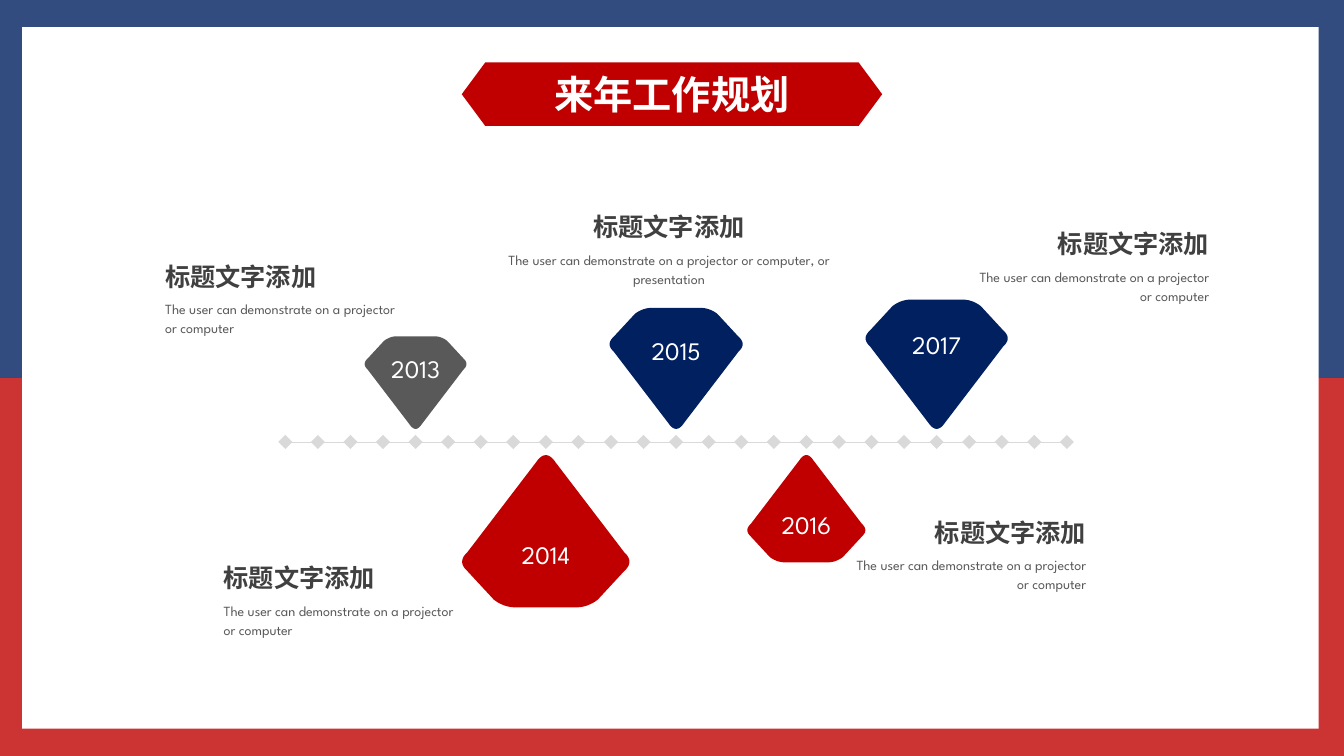
from lxml import etree
from pptx import Presentation, util as u
from pptx.dml.color import RGBColor
from pptx.enum import shapes, text
from pptx.oxml.ns import qn

COLUMNS, ROWS = 133.3, 75
CELL = u.Inches(0.1)

WHITE = RGBColor(0xFF, 0xFF, 0xFF)
NAVY = RGBColor(0x00, 0x20, 0x60)
RED = RGBColor(0xC0, 0x00, 0x00)
GRAY = RGBColor(0x59, 0x59, 0x59)
DARK = RGBColor(0x40, 0x40, 0x40)
PALE = RGBColor(0xD9, 0xD9, 0xD9)

LATIN_FONT = "League Spartan"
CHINESE_FONT = "Noto Sans CJK SC"
LEFT, CENTER, RIGHT = text.PP_ALIGN.LEFT, text.PP_ALIGN.CENTER, text.PP_ALIGN.RIGHT
ANCHOR_SHARE = {LEFT: 0, CENTER: 0.5, RIGHT: 1}

TICK_COUNT, TICK_SIZE = 25, 1.4
FIRST_TICK, TICK_STEP = 28.3, 3.23
AXIS_ROW = 43.85
TIP_GAP = 1.3
GEM_RATIO = 0.91
GEM_TIP_SHARE = 0.3
CURVE_STEPS = 10
GEM_CORNERS = [
    ((0.32, 0), (0.25, 0), (0.19, 0.05)),
    ((0.03, 0.24), (-0.03, 0.3), (0.03, 0.36)),
    ((0.44, 0.95), (0.5, 1.05), (0.56, 0.95)),
    ((0.97, 0.36), (1.03, 0.3), (0.97, 0.24)),
    ((0.81, 0.05), (0.75, 0), (0.68, 0)),
]

GEMS = [
    ("2013", 10.1, GRAY, False),
    ("2014", 16.6, RED, True),
    ("2015", 13.2, NAVY, False),
    ("2016", 11.7, RED, True),
    ("2017", 14.1, NAVY, False),
]
HEADING = "标题文字添加"
BODY = "The user can demonstrate on a projector or computer"
CAPTIONS = [
    (15.4, 25.4, LEFT, 25.7, BODY),
    (21.2, 55.3, LEFT, 25.7, BODY),
    (108.7, 50.8, RIGHT, 25.7, BODY),
    (120.9, 22.2, RIGHT, 25.7, BODY),
    (66.35, 20.5, CENTER, 34.1, BODY + ", or presentation"),
]


def cells(*values):
    return [round(value * CELL) for value in values]


def paint(shape, color):
    shape.shadow.inherit = False
    shape.fill.solid()
    shape.fill.fore_color.rgb = color
    shape.line.fill.background()


def write(shape, content, size, color, alignment=CENTER, bold=False, font=LATIN_FONT):
    paragraph = shape.text_frame.paragraphs[0]
    paragraph.text = content
    paragraph.alignment = alignment
    paragraph.font.size = u.Pt(size)
    paragraph.font.bold = bold
    paragraph.font.color.rgb = color
    paragraph.font.name = font
    properties = paragraph._p.pPr.find(qn("a:defRPr"))
    etree.SubElement(properties, qn("a:ea"), typeface=CHINESE_FONT)
    return paragraph


def add_block(slide, kind, left, top, width, height, color):
    shape = slide.shapes.add_shape(kind, *cells(left, top, width, height))
    paint(shape, color)
    return shape


def add_frame(slide):
    rectangle = shapes.MSO_SHAPE.RECTANGLE
    for half, color in enumerate((NAVY, RED)):
        band = add_block(slide, rectangle, 0, half * ROWS / 2, COLUMNS, ROWS / 2, color)
        fill_color = band.fill._xPr.find(".//" + qn("a:srgbClr"))
        etree.SubElement(fill_color, qn("a:alpha"), val="80000")
    add_block(slide, rectangle, 2.2, 2.7, 128.6, 69.6, WHITE)


def add_banner(slide, title):
    banner = add_block(slide, shapes.MSO_SHAPE.HEXAGON, 45.8, 6.2, 41.7, 6.3, RED)
    banner.adjustments[0] = 0.37
    banner.text_frame.word_wrap = False
    banner.text_frame.vertical_anchor = text.MSO_ANCHOR.MIDDLE
    write(banner, title, 28, WHITE, bold=True, font=CHINESE_FONT)


def add_axis(slide):
    line = slide.shapes.add_connector(
        shapes.MSO_CONNECTOR.STRAIGHT, *cells(28.7, AXIS_ROW, 106.4, AXIS_ROW))
    line.line.color.rgb = PALE
    line.line.width = u.Pt(0.6)
    etree.SubElement(line._element.spPr, qn("a:effectLst"))
    for tick in range(TICK_COUNT):
        left = FIRST_TICK + tick * TICK_STEP - TICK_SIZE / 2
        add_block(slide, shapes.MSO_SHAPE.DIAMOND, left, AXIS_ROW - TICK_SIZE / 2,
                  TICK_SIZE, TICK_SIZE, PALE)


def gem_outline():
    for start, control, end in GEM_CORNERS:
        for step in range(CURVE_STEPS + 1):
            t = step / CURVE_STEPS
            yield [(1 - t) ** 2 * a + 2 * t * (1 - t) * b + t ** 2 * c
                   for a, b, c in zip(start, control, end)]


def add_gem(slide, center, year, width, color, below):
    height = width * GEM_RATIO
    left = center - width / 2
    tip = AXIS_ROW + TIP_GAP * (1 if below else -1)
    base = tip + height * (1 if below else -1)
    points = [cells(left + x * width, base + y * (tip - base)) for x, y in gem_outline()]
    builder = slide.shapes.build_freeform(*points[0])
    builder.add_line_segments(points[1:], close=True)
    gem = builder.convert_to_shape()
    paint(gem, color)
    frame = gem.text_frame
    frame.vertical_anchor = text.MSO_ANCHOR.MIDDLE
    frame.margin_left = frame.margin_right = 0
    tip_margin = round(height * GEM_TIP_SHARE * CELL)
    frame.margin_top, frame.margin_bottom = (tip_margin, 0) if below else (0, tip_margin)
    write(gem, year, 18, WHITE)


def add_caption(slide, anchor, top, alignment, body_width, body):
    def add_text(offset, width, height, content, size, color, bold):
        left = anchor - width * ANCHOR_SHARE[alignment]
        box = slide.shapes.add_textbox(*cells(left, top + offset, width, height))
        box.text_frame.word_wrap = True
        return write(box, content, size, color, alignment, bold)

    add_text(0, 23.3, 4, HEADING, 18, DARK, True)
    paragraph = add_text(3.7, body_width, 4.8, body, 10, GRAY, False)
    paragraph.line_spacing = 1.14


def main():
    presentation = Presentation()
    presentation.slide_width, presentation.slide_height = cells(COLUMNS, ROWS)
    slide = presentation.slides.add_slide(presentation.slide_layouts[6])
    add_frame(slide)
    add_axis(slide)
    for index, gem in enumerate(GEMS, start=1):
        add_gem(slide, FIRST_TICK + 4 * index * TICK_STEP, *gem)
    for caption in CAPTIONS:
        add_caption(slide, *caption)
    add_banner(slide, "来年工作规划")
    presentation.save("out.pptx")


if __name__ == "__main__":
    main()
